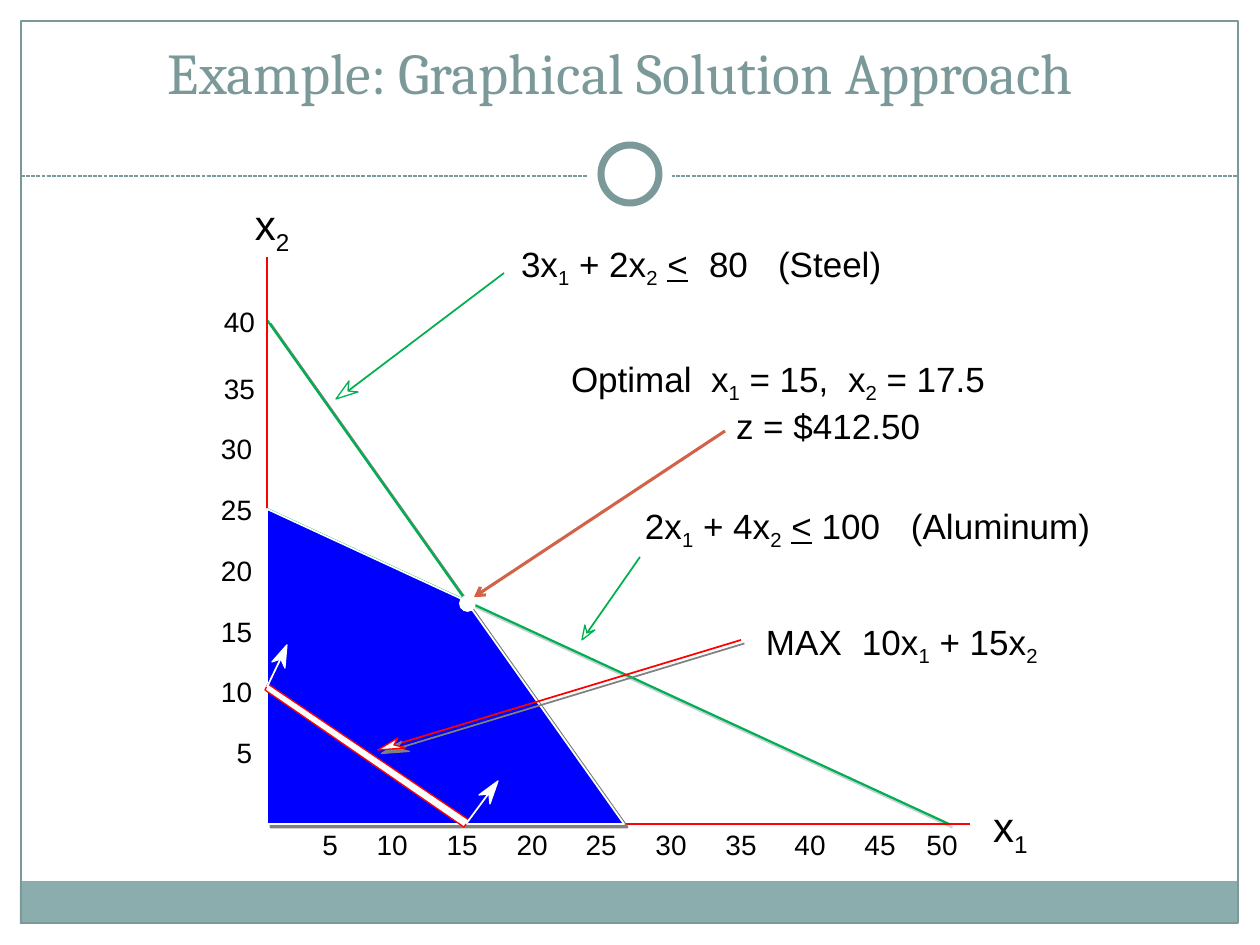
import pptx
import pptx.dml.color
import pptx.enum.dml
import pptx.enum.shapes
import pptx.enum.text
import pptx.oxml.ns
import pptx.util
from lxml import etree

PX = 914400 / 126
ALIGN = pptx.enum.text.PP_ALIGN
SHAPE = pptx.enum.shapes.MSO_SHAPE
qn = pptx.oxml.ns.qn


def color(code):
    return pptx.dml.color.RGBColor.from_string(code)


def write(frame, text, size=20, font="Arial", code="000000", align=ALIGN.LEFT, tabs=(), tab_align="l"):
    frame.word_wrap = True
    for index, line in enumerate(text.split("\n")):
        para = frame.add_paragraph() if index else frame.paragraphs[0]
        para.alignment = align
        if tabs:
            stops = etree.SubElement(para._p.get_or_add_pPr(), qn("a:tabLst"))
            for stop in tabs[index]:
                etree.SubElement(stops, qn("a:tab"), pos=str(round(stop * PX)), algn=tab_align)
        for part in line.split("|"):
            span = para.add_run()
            span.text = part.lstrip("_")
            span.font.size = pptx.util.Pt(size)
            span.font.name = font
            span.font.color.rgb = color(code)
            if part.startswith("_"):
                span._r.get_or_add_rPr().set("baseline", "-25000")
            if part == "<":
                span.font.underline = True


deck = pptx.Presentation()
deck.slide_width = pptx.util.Inches(10)
deck.slide_height = pptx.util.Inches(7.5)
page = deck.slides.add_slide(deck.slide_layouts[5])

title = page.shapes.title
title.left, title.top, title.width, title.height = [round(n * PX) for n in (93, 16, 1055, 96)]
title.text_frame.vertical_anchor = pptx.enum.text.MSO_ANCHOR.BOTTOM
title.text_frame.auto_size = pptx.enum.text.MSO_AUTO_SIZE.NONE
write(title.text_frame, "Example: Graphical Solution Approach", size=33, font="Cambria",
      code="7C999A", align=ALIGN.CENTER)

labels = [
    ("x|_2", (255, 199, 47, 50), dict(size=24)),
    ("x|_1", (993, 801, 47, 50), dict(size=24)),
    ("3x|_1| + 2x|_2| |<|\t80\t(Steel)", (521, 242, 394, 43), dict(tabs=[[188, 257]])),
    ("Optimal\tx|_1| = 15,\tx|_2| = 17.5\n\tz = $412.50", (571, 357, 420, 85),
     dict(tabs=[[140, 277], [165]])),
    ("2x|_1| + 4x|_2| |<| 100\t(Aluminum)", (645, 504, 471, 43), dict(tabs=[[266]])),
    ("MAX\t10x|_1| + 15x|_2", (766, 620, 276, 43), dict(tabs=[[96]])),
    ("\t5\t10\t15\t20\t25\t30\t35\t40\t45\t50", (237, 828, 736, 34),
     dict(size=16, tab_align="ctr", tabs=[[93, 155, 225, 295, 364, 434, 504, 573, 643, 705]])),
]
for value, top in zip(range(40, 0, -5), (305, 372, 432, 493, 554, 615, 675, 736)):
    left = 223 if value > 30 else 220
    labels.append((str(value), (left, top, 32, 34), dict(size=16, align=ALIGN.RIGHT)))

for text, place, style in labels:
    box = page.shapes.add_textbox(*[round(n * PX) for n in place])
    frame = box.text_frame
    frame.margin_left = frame.margin_top = frame.margin_right = frame.margin_bottom = 0
    write(frame, text, **style)

GREEN, RED, WHITE, TEAL, GRAY = "00B050", "FF0000", "FFFFFF", "7C999A", "808080"
# kind, points or place, fill, line, width, shadow
drawing = [
    (SHAPE.RECTANGLE, (20, 881, 1217, 43), "8CADAE", None, 0, None),
    (SHAPE.RECTANGLE, (21, 21, 1217, 902), None, TEAL, 0.75, None),
    ("dashed", [(21, 176), (1239, 176)], None, TEAL, 0.75, None),
    (SHAPE.OVAL, (588, 132, 84, 84), WHITE, None, 0, None),
    (SHAPE.OVAL, (601, 145, 58, 58), WHITE, TEAL, 4, None),
    ("line", [(267, 320), (624, 824)], None, GREEN, 1.25, GRAY),
    ("line", [(267, 509), (949, 824)], None, GREEN, 1.25, "C5D1D7"),
    ("line", [(504, 273), (348, 391)], None, GREEN, 1, None),
    ("outline", [(349, 381), (336, 399), (358, 392), (348, 391)], WHITE, GREEN, 0.75, None),
    ("line", [(640, 557), (587, 633)], None, GREEN, 1, None),
    ("outline", [(585, 625), (582, 640), (595, 630), (587, 633)], WHITE, GREEN, 0.75, None),
    ("line", [(267, 257), (267, 824)], None, RED, 1.5, None),
    ("line", [(267, 824), (970, 824)], None, RED, 1, None),
    ("outline", [(267, 509), (466, 601), (624, 824), (267, 824)], "0000FF", WHITE, 1, GRAY),
    ("line", [(741, 640), (394, 745)], None, RED, 1, GRAY),
    ("outline", [(398, 738), (378, 750), (406, 748), (394, 745)], WHITE, RED, 0.75, GRAY),
    ("outline", [(268, 684), (265, 690), (464, 827), (469, 820)], WHITE, RED, 0.75, None),
    ("line", [(466, 824), (489, 793)], None, WHITE, 1, None),
    ("outline", [(490, 804), (498, 781), (479, 795), (489, 794)], WHITE, WHITE, 0.75, None),
    ("line", [(267, 687), (281, 658)], None, WHITE, 1, None),
    ("outline", [(285, 668), (287, 645), (272, 662), (281, 659)], WHITE, WHITE, 0.75, None),
    (SHAPE.OVAL, (460, 596, 15, 15), WHITE, WHITE, 1, None),
    ("arrow", [(725, 431), (474, 597)], None, "D16349", 1.75, None),
]
for kind, points, fill, line, width, shadow in drawing:
    if kind in ("line", "dashed", "arrow"):
        ends = [round(n * PX) for point in points for n in point]
        shape = page.shapes.add_connector(pptx.enum.shapes.MSO_CONNECTOR.STRAIGHT, *ends)
    else:
        if kind == "outline":
            builder = page.shapes.build_freeform(*points[0], scale=PX)
            builder.add_line_segments(points[1:], close=True)
            shape = builder.convert_to_shape()
        else:
            shape = page.shapes.add_shape(kind, *[round(n * PX) for n in points])
        if fill:
            shape.fill.solid()
            shape.fill.fore_color.rgb = color(fill)
        else:
            shape.fill.background()
    if line:
        shape.line.color.rgb = color(line)
        shape.line.width = pptx.util.Pt(width)
    else:
        shape.line.fill.background()
    if kind == "dashed":
        shape.line.dash_style = pptx.enum.dml.MSO_LINE.SQUARE_DOT
    if kind == "arrow":
        etree.SubElement(shape.line._get_or_add_ln(), qn("a:tailEnd"), type="arrow")
    effects = etree.SubElement(shape._element.spPr, qn("a:effectLst"))
    if shadow:
        cast = etree.SubElement(effects, qn("a:outerShdw"), blurRad="0", dist="35921", dir="2700000")
        etree.SubElement(cast, qn("a:srgbClr"), val=shadow)

deck.save("out.pptx")
